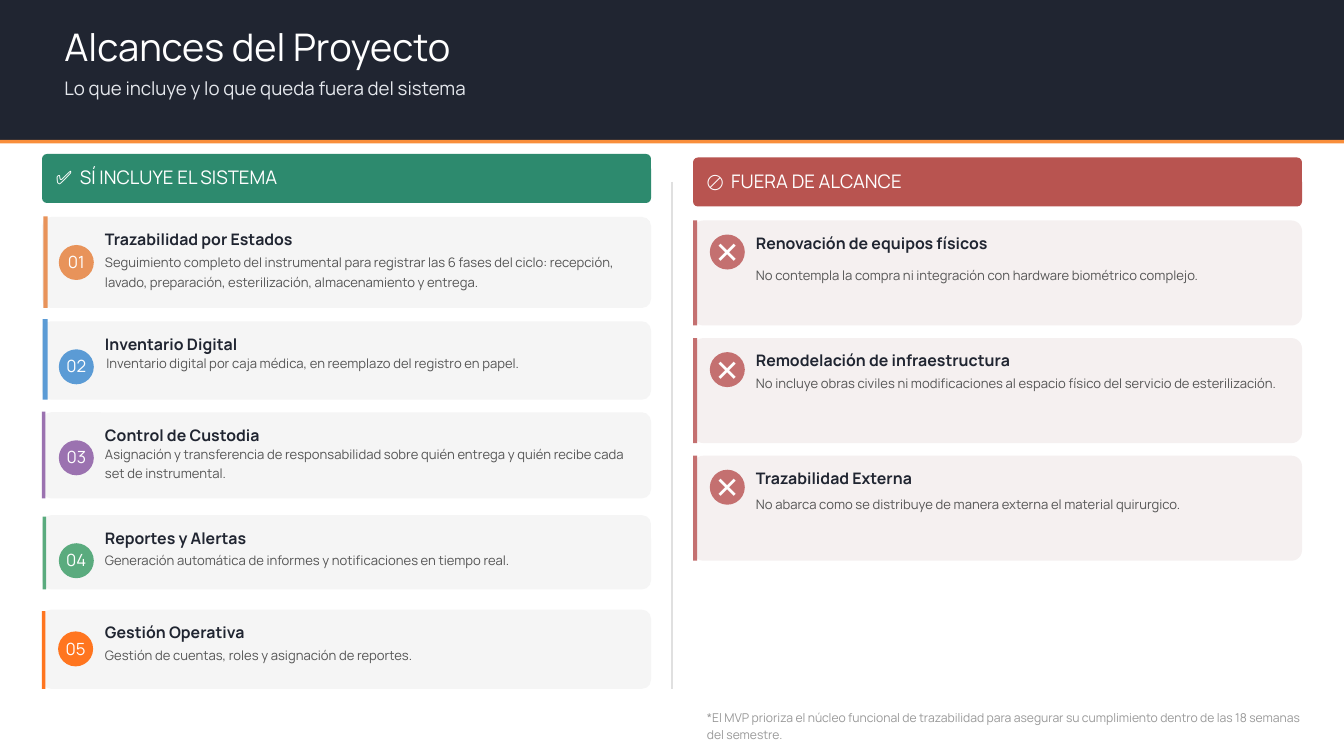
from dataclasses import dataclass

from lxml import etree
from pptx import Presentation
from pptx.dml.color import RGBColor
from pptx.enum.shapes import MSO_CONNECTOR, MSO_SHAPE
from pptx.enum.text import MSO_AUTO_SIZE, PP_ALIGN
from pptx.oxml.ns import qn
from pptx.util import Emu, Pt

RECT = MSO_SHAPE.RECTANGLE
ROUNDED = MSO_SHAPE.ROUNDED_RECTANGLE
OVAL = MSO_SHAPE.OVAL
STRAIGHT = MSO_CONNECTOR.STRAIGHT
LEFT, CENTER = PP_ALIGN.LEFT, PP_ALIGN.CENTER
GROW = MSO_AUTO_SIZE.SHAPE_TO_FIT_TEXT


@dataclass(frozen=True)
class Style:
    size: float
    leading: float
    color: str
    bold: bool = False
    align: PP_ALIGN = LEFT


@dataclass(frozen=True)
class Theme:
    font: str = "Manrope"
    # Colours
    dark: str = "202531"
    accent: str = "F98E3B"
    included: str = "2D8A6E"
    excluded: str = "B85450"
    excluded_mark: str = "C47070"
    included_card: str = "F5F5F5"
    excluded_card: str = "F5F0F0"
    divider: str = "E0E0E0"
    # Type
    title: Style = Style(40.7, 57, "FFFFFF")
    subtitle: Style = Style(20, 24, "E4E7EC")
    column: Style = Style(20, 28, "FFFFFF")
    number: Style = Style(18, 25.2, "FFFFFF", align=CENTER)
    cross: Style = Style(31.6, 44.2, "FFFFFF", align=CENTER)
    heading: Style = Style(17, 23.8, "202531", bold=True)
    body: Style = Style(14, 21, "555555")
    footnote: Style = Style(13, 18.2, "999999")


THEME = Theme()
WIDTH, HEIGHT = 1920, 1080
COLUMN_W, TEXT_W, DISC = 870, 760, 50
INCLUDED_X, EXCLUDED_X = 60, 990
EXCLUDED_TOP, EXCLUDED_H, EXCLUDED_STEP = 315, 150, 168


@dataclass(frozen=True)
class Included:
    color: str
    heading: str
    body: str
    top: int
    height: int
    bar: tuple  # left, top, width
    body_top: int
    body_left: int = 150
    disc_left: int = 84
    disc_drop: int = 40


INCLUDED = [
    Included("E8935A", "Trazabilidad por Estados",
             "Seguimiento completo del instrumental para registrar las 6 fases del ciclo: "
             "recepción, lavado, preparación, esterilización, almacenamiento y entrega.",
             310, 130, (62, 309, 6), 358),
    Included("5B9BD5", "Inventario Digital",
             "Inventario digital por caja médica, en reemplazo del registro en papel.",
             459, 112, (61, 456, 7), 502, body_left=152),
    Included("9B72B0", "Control de Custodia",
             "Asignación y transferencia de responsabilidad sobre quién entrega y quién "
             "recibe cada set de instrumental.",
             589, 123, (60, 588, 5), 632),
    Included("5AAB7E", "Reportes y Alertas",
             "Generación automática de informes y notificaciones en tiempo real.",
             736, 106, (61, 738, 5), 784),
    Included("FF751F", "Gestión Operativa",
             "Gestión de cuentas, roles y asignación de reportes.",
             871, 113, (60, 873, 5), 919, disc_left=83, disc_drop=31),
]

# Heading, body, drop of the body below the card top
EXCLUDED = [
    ("Renovación de equipos físicos",
     "No contempla la compra ni integración con hardware biométrico complejo.", 62),
    ("Remodelación de infraestructura",
     "No incluye obras civiles ni modificaciones al espacio físico del servicio de "
     "esterilización.", 48),
    ("Trazabilidad Externa",
     "No abarca como se distribuye de manera externa el material quirurgico.", 52),
]


def px(value):
    return Emu(value * 9525)


def add_block(slide, kind, left, top, width, height, color, radius=0):
    block = slide.shapes.add_shape(kind, px(left), px(top), px(width), px(height))
    block.shadow.inherit = False
    block.fill.solid()
    block.fill.fore_color.rgb = RGBColor.from_string(color)
    block.line.fill.background()
    if radius:
        block.adjustments[0] = radius / min(width, height)


def add_text(slide, text, left, top, width, height, style):
    frame = slide.shapes.add_textbox(px(left), px(top), px(width), px(height)).text_frame
    frame.margin_left = frame.margin_right = frame.margin_top = frame.margin_bottom = 0
    frame.word_wrap = True
    frame.auto_size = GROW
    frame.text = text
    paragraph = frame.paragraphs[0]
    paragraph.alignment = style.align
    paragraph.line_spacing = Pt(style.leading)
    font = paragraph.runs[0].font
    font.name, font.size, font.bold = THEME.font, Pt(style.size), style.bold
    font.color.rgb = RGBColor.from_string(style.color)


def add_divider(slide, x, top, bottom):
    divider = slide.shapes.add_connector(STRAIGHT, px(x), px(top), px(x), px(bottom))
    divider.line.color.rgb = RGBColor.from_string(THEME.divider)
    divider.line.width = Pt(1.5)
    etree.SubElement(divider._element.spPr, qn("a:effectLst"))


def add_header(slide):
    add_block(slide, RECT, 0, 0, WIDTH, 200, THEME.dark)
    add_block(slide, RECT, 0, 200, WIDTH, 5, THEME.accent)
    add_text(slide, "Alcances del Proyecto", 92, 22, 600, 76, THEME.title)
    add_text(slide, "Lo que incluye y lo que queda fuera del sistema",
             92, 110, 700, 35, THEME.subtitle)


def add_column_title(slide, text, left, top, color):
    add_block(slide, ROUNDED, left, top, COLUMN_W, 70, color, radius=7)
    add_text(slide, text, left + 20, top + 12, 830, 38, THEME.column)


def add_included_card(slide, number, item):
    bar_left, bar_top, bar_width = item.bar
    disc_top = item.top + item.disc_drop
    add_block(slide, ROUNDED, INCLUDED_X, item.top, COLUMN_W, item.height,
              THEME.included_card, radius=13)
    add_block(slide, RECT, bar_left, bar_top, bar_width,
              item.top + item.height - bar_top, item.color)
    add_block(slide, OVAL, item.disc_left, disc_top, DISC, DISC, item.color)
    add_text(slide, f"{number:02d}", item.disc_left, disc_top + 5, DISC, 35, THEME.number)
    add_text(slide, item.heading, 150, item.top + 14, TEXT_W, 33, THEME.heading)
    add_text(slide, item.body, item.body_left, item.body_top, TEXT_W, 58, THEME.body)


def add_excluded_card(slide, top, heading, body, body_drop):
    disc_left, text_left = EXCLUDED_X + 24, EXCLUDED_X + 90
    add_block(slide, ROUNDED, EXCLUDED_X, top, COLUMN_W, EXCLUDED_H,
              THEME.excluded_card, radius=15)
    add_block(slide, RECT, EXCLUDED_X, top, 6, EXCLUDED_H, THEME.excluded_mark)
    add_block(slide, OVAL, disc_left, top + 20, DISC, DISC, THEME.excluded_mark)
    add_text(slide, "✕", disc_left, top + 11, DISC, 59, THEME.cross)
    add_text(slide, heading, text_left, top + 14, TEXT_W, 33, THEME.heading)
    add_text(slide, body, text_left, top + body_drop, TEXT_W, 30, THEME.body)


def main():
    deck = Presentation()
    deck.slide_width, deck.slide_height = px(WIDTH), px(HEIGHT)
    slide = deck.slides.add_slide(deck.slide_layouts[6])

    add_header(slide)

    # Left column: what the system includes
    add_column_title(slide, "✅  SÍ INCLUYE EL SISTEMA", INCLUDED_X, 220, THEME.included)
    for number, item in enumerate(INCLUDED, start=1):
        add_included_card(slide, number, item)

    # Right column: what is out of scope
    add_column_title(slide, "🚫  FUERA DE ALCANCE", EXCLUDED_X, 225, THEME.excluded)
    for index, content in enumerate(EXCLUDED):
        add_excluded_card(slide, EXCLUDED_TOP + index * EXCLUDED_STEP, *content)

    # Divider and footnote
    add_divider(slide, WIDTH // 2, 260, 984)
    add_text(slide, "*El MVP prioriza el núcleo funcional de trazabilidad para asegurar su "
             "cumplimiento dentro de las 18 semanas del semestre.",
             1010, 1011, 864, 73, THEME.footnote)

    deck.save("out.pptx")


if __name__ == "__main__":
    main()
